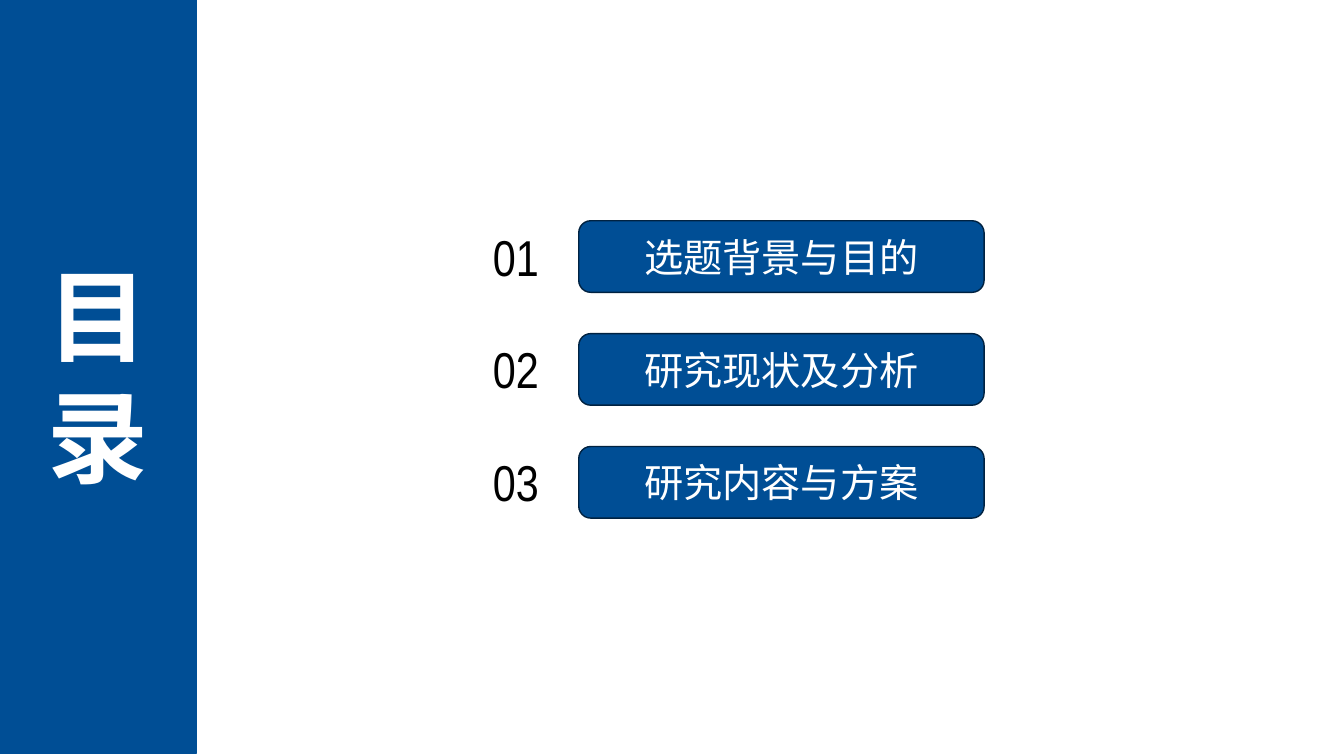
from lxml.etree import SubElement
from pptx import Presentation
from pptx.dml.color import RGBColor
from pptx.enum.shapes import MSO_SHAPE
from pptx.enum.text import MSO_ANCHOR, MSO_AUTO_SIZE, PP_ALIGN
from pptx.oxml.ns import qn
from pptx.util import Emu, Pt

PX = 9144  # 100 px to the inch
COLORS = {"blue": "004E95", "navy": "002241", "white": "FFFFFF", "black": "000000"}
CHINESE_FONT = "Noto Sans CJK SC"
NUMBER_FONT = "Arial Narrow"


def rgb(name):
    return RGBColor.from_string(COLORS[name])


class AgendaSlide:
    def __init__(self, presentation):
        self.slide = presentation.slides.add_slide(presentation.slide_layouts[6])

    def add_lines(self, frame, lines, size, font, color, align, bold=False):
        """Put each line in its own paragraph, for Latin and East Asian text alike."""
        for index, line in enumerate(lines):
            paragraph = frame.add_paragraph() if index else frame.paragraphs[0]
            paragraph.alignment = align
            run = paragraph.add_run()
            run.text = line
            run.font.size = Pt(size)
            run.font.bold = bold
            run.font.color.rgb = rgb(color)
            run.font.name = font
            SubElement(run.font._element, qn("a:ea"), typeface=font)

    def panel(self, kind, box, line_color, lines, size, bold=False):
        """Draw a blue shape with centred white text."""
        panel = self.slide.shapes.add_shape(kind, *(Emu(n * PX) for n in box))
        panel.shadow.inherit = False
        panel.fill.solid()
        panel.fill.fore_color.rgb = rgb("blue")
        panel.line.color.rgb = rgb(line_color)
        panel.line.width = Pt(1)
        frame = panel.text_frame
        frame.word_wrap = True
        frame.vertical_anchor = MSO_ANCHOR.MIDDLE
        self.add_lines(frame, lines, size, CHINESE_FONT, "white", PP_ALIGN.CENTER, bold)

    def number(self, box, label):
        number = self.slide.shapes.add_textbox(*(Emu(n * PX) for n in box))
        frame = number.text_frame
        frame.word_wrap = True
        frame.auto_size = MSO_AUTO_SIZE.SHAPE_TO_FIT_TEXT
        self.add_lines(frame, [label], 36, NUMBER_FONT, "black", PP_ALIGN.LEFT)


def main():
    presentation = Presentation()
    presentation.slide_width = Emu(1333 * PX)
    presentation.slide_height = Emu(750 * PX)
    agenda = AgendaSlide(presentation)

    agenda.panel(MSO_SHAPE.RECTANGLE, (0, -3, 195, 750), "blue", "目录", 72, bold=True)

    sections = ["选题背景与目的", "研究现状及分析", "研究内容与方案"]
    first_top, pitch, height = 219, 112, 71
    for index, section in enumerate(sections):
        top = first_top + index * pitch
        agenda.number((479, top, 73, height), f"{index + 1:02d}")
        agenda.panel(MSO_SHAPE.ROUNDED_RECTANGLE, (574, top, 402, height),
                     "navy", [section], 28)

    presentation.save("out.pptx")


if __name__ == "__main__":
    main()
